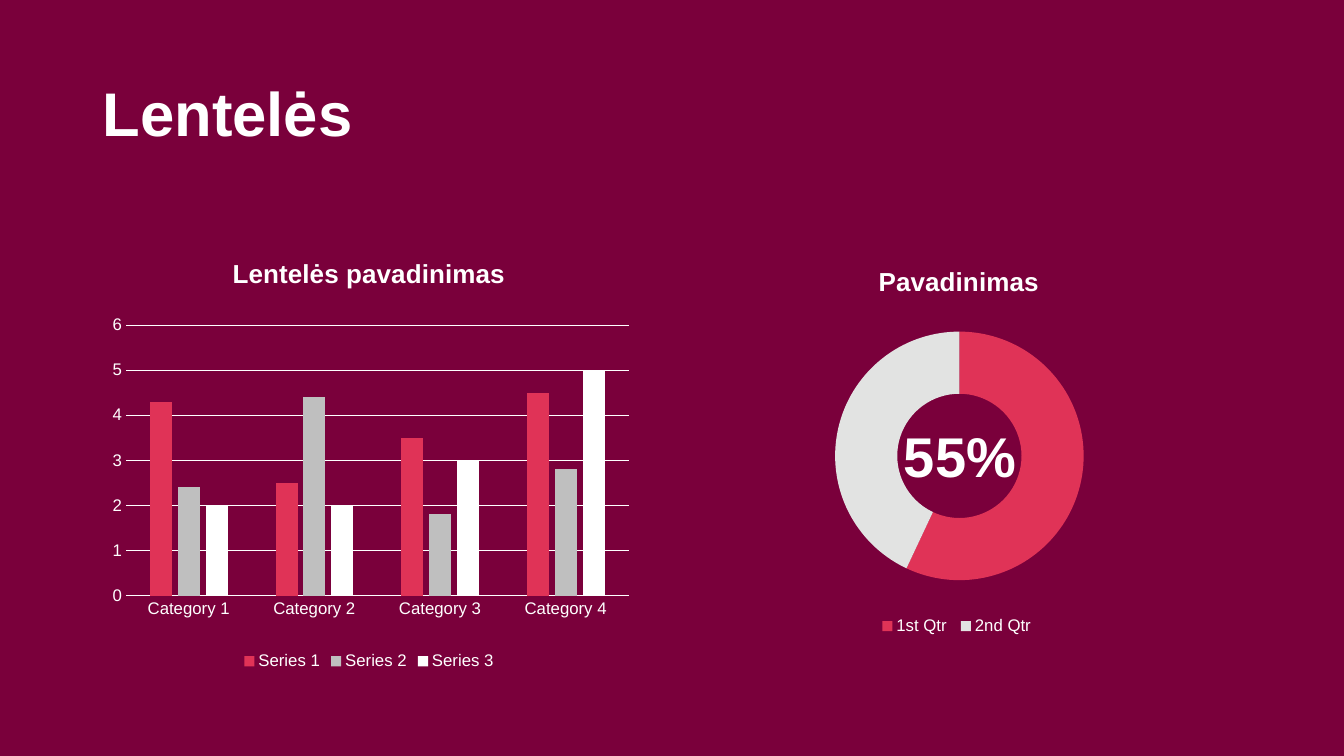
import dataclasses

import lxml.etree
import pptx
import pptx.chart.data
import pptx.dml.color
import pptx.enum.chart
import pptx.oxml.ns
import pptx.util

Cm = pptx.util.Cm
Pt = pptx.util.Pt
qn = pptx.oxml.ns.qn


@dataclasses.dataclass(frozen=True)
class Theme:
    """Colours, font and type sizes."""

    font: str = "Arial"
    ground: str = "7A003B"
    text: str = "FFFFFF"
    accent: str = "E03357"
    grey: str = "BFBFBF"
    pale: str = "E2E3E2"
    heading: float = 44
    figure: float = 40
    chart_title: float = 18.6
    label: float = 12


class Deck:
    """A slide and the style used to draw on it."""

    def __init__(self, prs, theme):
        self.theme = theme
        self.s = prs.slides.add_slide(prs.slide_layouts[6])
        self.paint(self.s.background.fill, theme.ground)

    def paint(self, fill, colour):
        """Fill with one solid colour."""
        fill.solid()
        fill.fore_color.rgb = pptx.dml.color.RGBColor.from_string(colour)

    def style(self, font, size, bold=False):
        """Apply the theme's font and text colour."""
        font.name, font.size, font.bold = self.theme.font, Pt(size), bold
        self.paint(font.fill, self.theme.text)

    def line(self, line, width):
        """Draw a line in the text colour."""
        self.paint(line.fill, self.theme.text)
        line.width = Pt(width)

    def text(self, text, box, size, spacing=None):
        """Add a bold line of text."""
        tf = self.s.shapes.add_textbox(*map(Cm, box)).text_frame
        tf.word_wrap = True
        p = tf.paragraphs[0]
        p.text = text
        p.line_spacing = spacing
        self.style(p.runs[0].font, size, True)

    def place(self, parent, index, **layout):
        """Set a manual layout, in fractions of the chart."""
        for old in parent.findall(qn("c:layout")):
            parent.remove(old)
        node = lxml.etree.Element(qn("c:layout"))
        parent.insert(index, node)
        manual = lxml.etree.SubElement(node, qn("c:manualLayout"))
        if index == 0:
            lxml.etree.SubElement(manual, qn("c:layoutTarget")).set("val", "inner")
        for key in ("x", "y"):
            lxml.etree.SubElement(manual, qn(f"c:{key}Mode")).set("val", "edge")
        for key, value in layout.items():
            lxml.etree.SubElement(manual, qn(f"c:{key}")).set("val", str(value))

    def chart(self, kind, title, box, cats, series, plot):
        """Add a chart with a title and a legend below."""
        data = pptx.chart.data.CategoryChartData()
        data.categories = cats
        for name, values in series.items():
            data.add_series(name, values)
        chart = self.s.shapes.add_chart(kind, *map(Cm, box), data).chart
        self.style(chart.font, 10)
        chart.has_title = True
        chart.chart_title.include_in_layout = False
        p = chart.chart_title.text_frame.paragraphs[0]
        p.text = title
        self.style(p.runs[0].font, self.theme.chart_title, True)
        chart.has_legend = True
        chart.legend.position = pptx.enum.chart.XL_LEGEND_POSITION.BOTTOM
        chart.legend.include_in_layout = False
        self.style(chart.legend.font, self.theme.label)
        self.place(chart._chartSpace.chart.plotArea, 0, **dict(zip("xywh", plot)))
        return chart

    def columns(self, title, box, cats, series, colours, plot):
        """Add a clustered column chart."""
        kind = pptx.enum.chart.XL_CHART_TYPE.COLUMN_CLUSTERED
        chart = self.chart(kind, title, box, cats, series, plot)
        bars = chart.plots[0]
        bars.vary_by_categories = False
        bars.gap_width, bars.overlap = 219, -27
        for ser, colour in zip(bars.series, colours):
            self.paint(ser.format.fill, colour)
        for axis in (chart.category_axis, chart.value_axis):
            axis.major_tick_mark = pptx.enum.chart.XL_TICK_MARK.NONE
            axis.minor_tick_mark = pptx.enum.chart.XL_TICK_MARK.NONE
            self.style(axis.tick_labels.font, self.theme.label)
        self.line(chart.category_axis.format.line, 0.75)
        axis = chart.value_axis
        axis.minimum_scale, axis.maximum_scale, axis.major_unit = 0, 6, 1
        axis.format.line.fill.background()
        self.line(axis.major_gridlines.format.line, 0.5)

    def doughnut(self, title, box, cats, series, colours, plot):
        """Add a doughnut chart with its title and legend drawn inward."""
        kind = pptx.enum.chart.XL_CHART_TYPE.DOUGHNUT
        chart = self.chart(kind, title, box, cats, series, plot)
        ring = chart.plots[0]
        for i, colour in enumerate(colours):
            self.paint(ring.series[0].points[i].format.fill, colour)
        for hole in chart._chartSpace.iter(qn("c:holeSize")):
            hole.set("val", "61")
        self.place(chart.chart_title._element, 1, x=0.35, y=0.05)
        self.place(chart.legend._element, 1, x=0.35, y=0.86, w=0.3, h=0.06)


def main():
    """Build the slide and save it."""
    prs = pptx.Presentation()
    prs.slide_width, prs.slide_height = Cm(33.87), Cm(19.05)
    theme = Theme()
    deck = Deck(prs, theme)
    top, width, height = 5.99, 13.92, 11
    deck.columns(
        "Lentelės pavadinimas",
        (2.34, top, width, height),
        [f"Category {n}" for n in range(1, 5)],
        {
            "Series 1": (4.3, 2.5, 3.5, 4.5),
            "Series 2": (2.4, 4.4, 1.8, 2.8),
            "Series 3": (2, 2, 3, 5),
        },
        (theme.accent, theme.grey, theme.text),
        (0.06, 0.2, 0.91, 0.62),
    )
    deck.doughnut(
        "Pavadinimas",
        (17.15, top, width, height),
        ["1st Qtr", "2nd Qtr"],
        {"Series 1": (57, 43)},
        (theme.accent, theme.pale),
        (0.28, 0.21, 0.45, 0.58),
    )
    deck.text("55%", (22.53, 10.49, 3.38, 1.96), theme.figure)
    deck.text("Lentelės", (2.34, 1.98, 24.82, 3.68), theme.heading, 0.9)
    prs.save("out.pptx")


if __name__ == "__main__":
    main()
